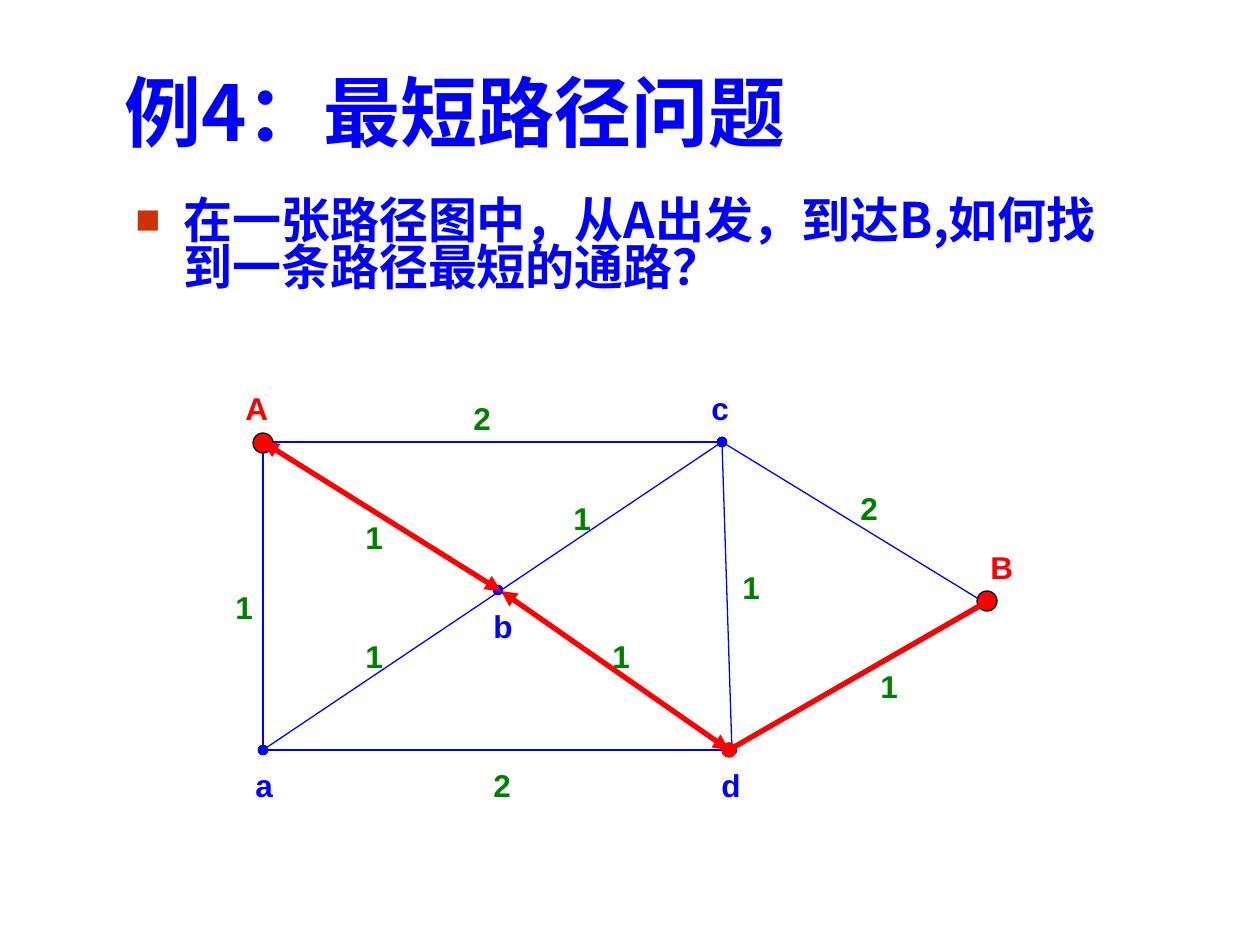
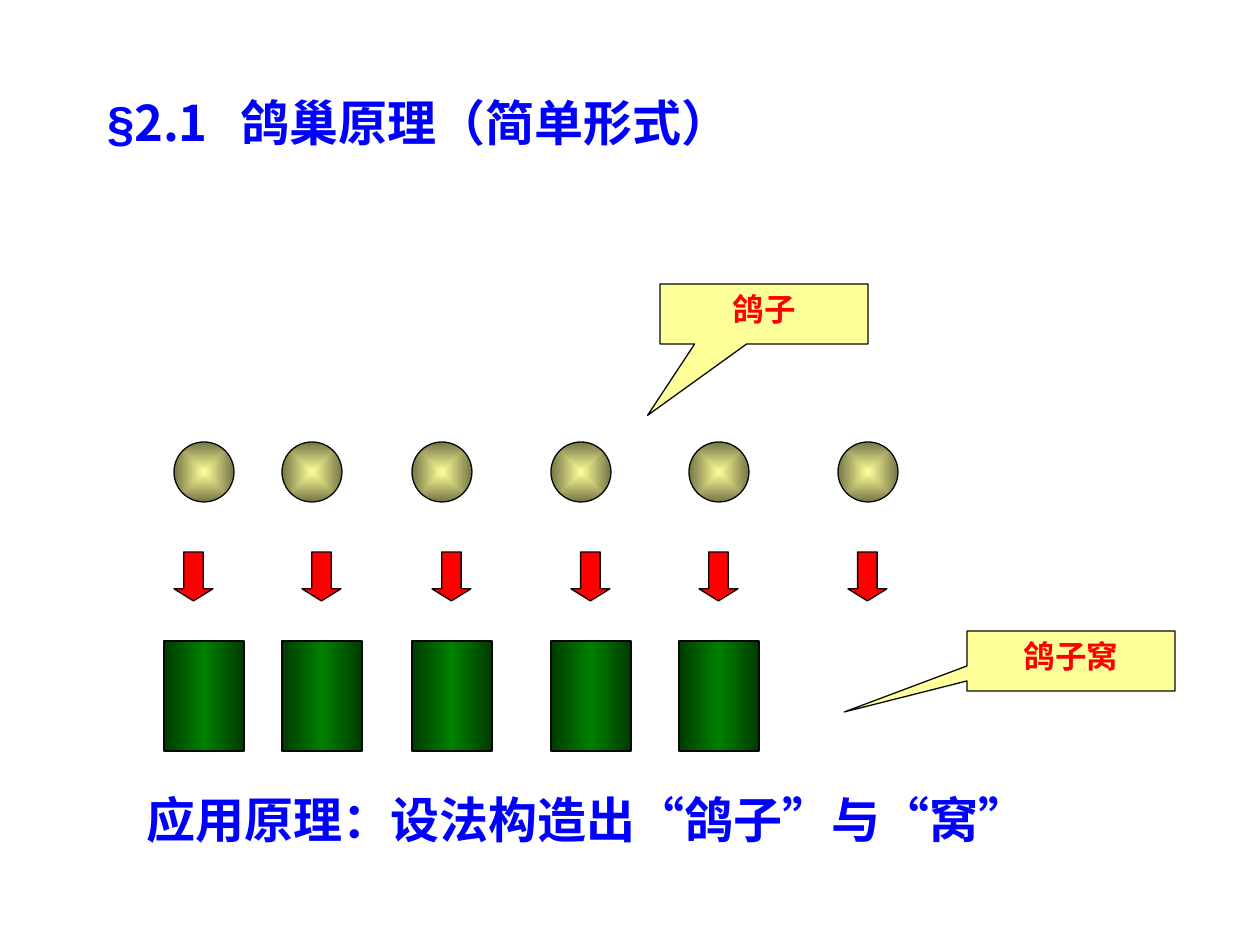
from pptx import Presentation
from pptx.dml.color import RGBColor
from pptx.enum.shapes import MSO_CONNECTOR, MSO_SHAPE
from pptx.enum.text import MSO_ANCHOR, MSO_AUTO_SIZE, PP_ALIGN
from pptx.oxml import parse_xml
from pptx.oxml.ns import nsdecls, qn
from pptx.util import Inches, Pt

PX = 7257  # EMU in one px, at 126 px to the inch

BLUE = RGBColor(0x00, 0x00, 0xFF)
RED = RGBColor(0xFF, 0x00, 0x00)
GREEN = RGBColor(0x00, 0x80, 0x00)
YELLOW = RGBColor(0xFF, 0xFF, 0x99)
OUTLINE = RGBColor(0x08, 0x08, 0x08)
DARK_GREEN = RGBColor(0x00, 0x3B, 0x00)
DARK_YELLOW = RGBColor(0x76, 0x76, 0x47)
BULLET = RGBColor(0xCC, 0x33, 0x00)

LATIN = "Arial"
CHINESE = "Noto Sans CJK SC"
ELLIPSE = MSO_SHAPE.OVAL
RECTANGLE = MSO_SHAPE.RECTANGLE
DOWN_ARROW = MSO_SHAPE.DOWN_ARROW
CALLOUT = MSO_SHAPE.RECTANGULAR_CALLOUT
STRAIGHT = MSO_CONNECTOR.STRAIGHT
TOP, MIDDLE = MSO_ANCHOR.TOP, MSO_ANCHOR.MIDDLE
LEFT, CENTER = PP_ALIGN.LEFT, PP_ALIGN.CENTER
NO_FIT, GROW = MSO_AUTO_SIZE.NONE, MSO_AUTO_SIZE.SHAPE_TO_FIT_TEXT


def add_run(paragraph, text, size, color, font=CHINESE):
    run = paragraph.add_run()
    run.text = text
    run.font.size = Pt(size)
    run.font.bold = True
    run.font.color.rgb = color
    run.font.name = font
    run.font._element.append(parse_xml(f'<a:ea {nsdecls("a")} typeface="{CHINESE}"/>'))


def add_outlined(slide, preset, box, fill, stops=(), direction=""):
    """Add an outlined shape; stops and direction turn its fill into a gradient."""
    shape = slide.shapes.add_shape(preset, *[n * PX for n in box])
    shape.shadow.inherit = False
    shape.fill.solid()
    shape.fill.fore_color.rgb = fill
    shape.line.color.rgb = OUTLINE
    shape.line.width = Pt(0.75)
    if stops:
        marks = "".join(f'<a:gs pos="{share * 1000}"><a:srgbClr val="{color}"/></a:gs>'
                        for share, color in stops)
        solid = shape._element.spPr.find(qn("a:solidFill"))
        solid.getparent().replace(solid, parse_xml(
            f'<a:gradFill {nsdecls("a")} rotWithShape="1">'
            f"<a:gsLst>{marks}</a:gsLst>{direction}</a:gradFill>"))
    return shape


prs = Presentation()
prs.slide_width, prs.slide_height = Inches(10), Inches(7.5)
title_only = prs.slide_layouts[5]
path_slide = prs.slides.add_slide(title_only)
pigeon_slide = prs.slides.add_slide(title_only)

# Titles: box, anchor, left inset, space before, runs
titles = [
    (path_slide, (42, 32, 1177, 158), MIDDLE, 82, 0,
     [("例4：最短路径问题", 44, CHINESE)]),
    (pigeon_slide, (94, 86, 922, 89), TOP, 13, 7,
     [("§", 28, LATIN), ("2.1\t鸽巢原理（简单形式）", 28, CHINESE)]),
]
for slide, box, anchor, inset, before, runs in titles:
    title = slide.shapes.title
    title.left, title.top, title.width, title.height = [n * PX for n in box]
    frame = title.text_frame
    frame.auto_size = NO_FIT
    frame.word_wrap = True
    frame.vertical_anchor = anchor
    frame.margin_left = inset * PX
    heading = frame.paragraphs[0]
    heading.alignment = LEFT
    heading.space_before = Pt(before)
    for text, size, font in runs:
        add_run(heading, text, size, BLUE, font)

# Tab stop between the section number and its name
heading._p.get_or_add_pPr().append(parse_xml(
    f'<a:tabLst {nsdecls("a")}><a:tab pos="{134 * PX}" algn="l"/></a:tabLst>'))

# Statements: box, line spacing, runs
statements = []
for slide, box, spacing, runs in [
    (path_slide, (123, 195, 993, 110), 0.8,
     [("在一张路径图中，从A出发，到达B,如何找到一条路径最短的通路？", CHINESE)]),
    (pigeon_slide, (134, 790, 1012, 79), 0.9,
     [("应用原理：设法构造出", CHINESE), ("“", LATIN), ("鸽子", CHINESE), ("”", LATIN),
      ("与", CHINESE), ("“", LATIN), ("窝", CHINESE), ("”", LATIN)]),
]:
    frame = slide.shapes.add_textbox(*[n * PX for n in box]).text_frame
    frame.word_wrap = True
    statement = frame.paragraphs[0]
    statement.line_spacing = spacing
    statement.space_before = Pt(7)
    for text, font in runs:
        add_run(statement, text, 28, BLUE, font)
    statements.append(statement)

question = statements[0]._p.get_or_add_pPr()
question.set("marL", str(48 * PX))
question.set("indent", str(-48 * PX))
for bullet_part in (f'<a:buClr {nsdecls("a")}><a:srgbClr val="{BULLET}"/></a:buClr>',
                    f'<a:buSzPct {nsdecls("a")} val="85000"/>',
                    f'<a:buFont {nsdecls("a")} typeface="{LATIN}"/>',
                    f'<a:buChar {nsdecls("a")} char="■"/>'):
    question.append(parse_xml(bullet_part))

# Path graph: thin edges, end nodes, labels, then the shortest path on top
nodes = {"A": (263, 442), "a": (263, 750), "b": (498, 590),
         "c": (722, 442), "d": (732, 750), "B": (987, 604)}
edges = [(nodes[start], nodes[end], BLUE, 0.75, "oval")
         for start, end in ("Aa", "Ac", "ad", "Ab", "ac", "bd", "cd", "cB", "dB")]
stops_on_path = [(263, 442), (501, 591), (729, 750), (988, 601)]
shortest = [(start, end, RED, 3, mark) for start, end, mark
            in zip(stops_on_path, stops_on_path[1:], ("triangle", "triangle", "oval"))]
labels = [
    ("A", 233, 383, RED), ("B", 978, 542, RED),
    ("a", 243, 760, BLUE), ("b", 481, 601, BLUE),
    ("c", 699, 383, BLUE), ("d", 709, 760, BLUE),
    ("1", 223, 582, GREEN), ("1", 353, 631, GREEN), ("1", 353, 512, GREEN),
    ("1", 561, 493, GREEN), ("1", 600, 631, GREEN), ("1", 730, 562, GREEN),
    ("1", 868, 661, GREEN), ("2", 461, 393, GREEN), ("2", 481, 760, GREEN),
    ("2", 848, 483, GREEN),
]
for layer in (edges, shortest):
    for start, end, color, width, mark in layer:
        edge = path_slide.shapes.add_connector(STRAIGHT, *[n * PX for n in start + end])
        edge.line.color.rgb = color
        edge.line.width = Pt(width)
        for tag in ("headEnd", "tailEnd"):
            edge.line._get_or_add_ln().append(
                parse_xml(f'<a:{tag} {nsdecls("a")} type="{mark}"/>'))
        edge._element.spPr.append(parse_xml(f'<a:effectLst {nsdecls("a")}/>'))
    if layer is edges:
        for x, y in ((253, 433), (977, 591)):
            add_outlined(path_slide, ELLIPSE, (x, y, 20, 20), RED)
        for text, x, y, color in labels:
            frame = path_slide.shapes.add_textbox(x * PX, y * PX, 49 * PX, 50 * PX).text_frame
            frame.word_wrap = True
            frame.auto_size = GROW
            frame.paragraphs[0].space_before = Pt(11.2)
            add_run(frame.paragraphs[0], text, 18, color, LATIN)

# Six pigeons drop into five holes
for x in (174, 282, 412, 551, 689, 838):
    add_outlined(pigeon_slide, ELLIPSE, (x, 442, 60, 60), YELLOW,
                 [(0, YELLOW), (100, DARK_YELLOW)],
                 '<a:path path="rect"><a:fillToRect l="50000" t="50000" r="50000" b="50000"/></a:path>')
for x in (164, 282, 412, 551, 679):
    add_outlined(pigeon_slide, RECTANGLE, (x, 641, 80, 110), GREEN,
                 [(0, DARK_GREEN), (50, GREEN), (100, DARK_GREEN)],
                 '<a:lin ang="0" scaled="1"/>')
for x in (174, 302, 432, 571, 699, 848):
    drop = add_outlined(pigeon_slide, DOWN_ARROW, (x, 552, 39, 49), RED)
    drop.adjustments[0], drop.adjustments[1] = 0.5, 0.31

for text, x, y, tip_x, tip_y in (("鸽子", 660, 284, -0.56, 1.69),
                                 ("鸽子窝", 967, 631, -1.09, 0.85)):
    callout = add_outlined(pigeon_slide, CALLOUT, (x, y, 208, 60), YELLOW)
    callout.adjustments[0], callout.adjustments[1] = tip_x, tip_y
    frame = callout.text_frame
    frame.word_wrap = True
    frame.vertical_anchor = TOP
    frame.paragraphs[0].alignment = CENTER
    add_run(frame.paragraphs[0], text, 18, RED, LATIN)

prs.save("out.pptx")
